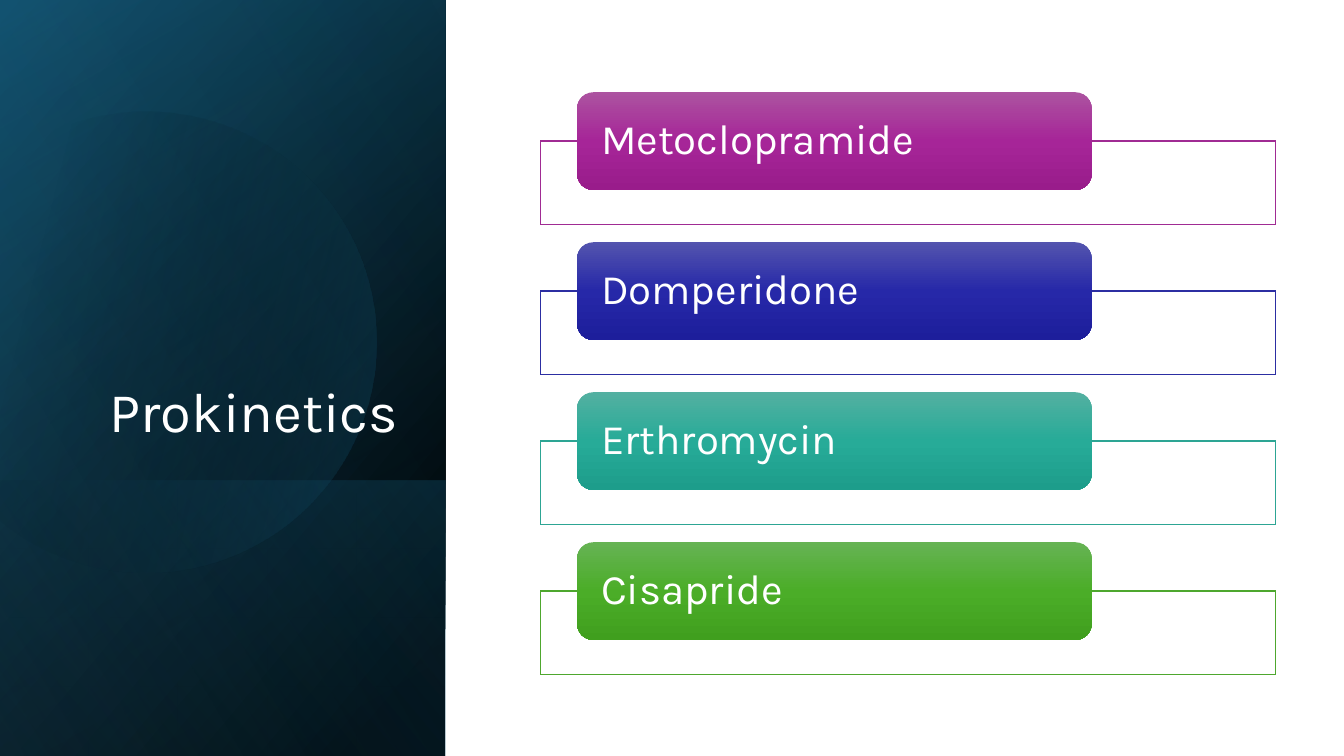
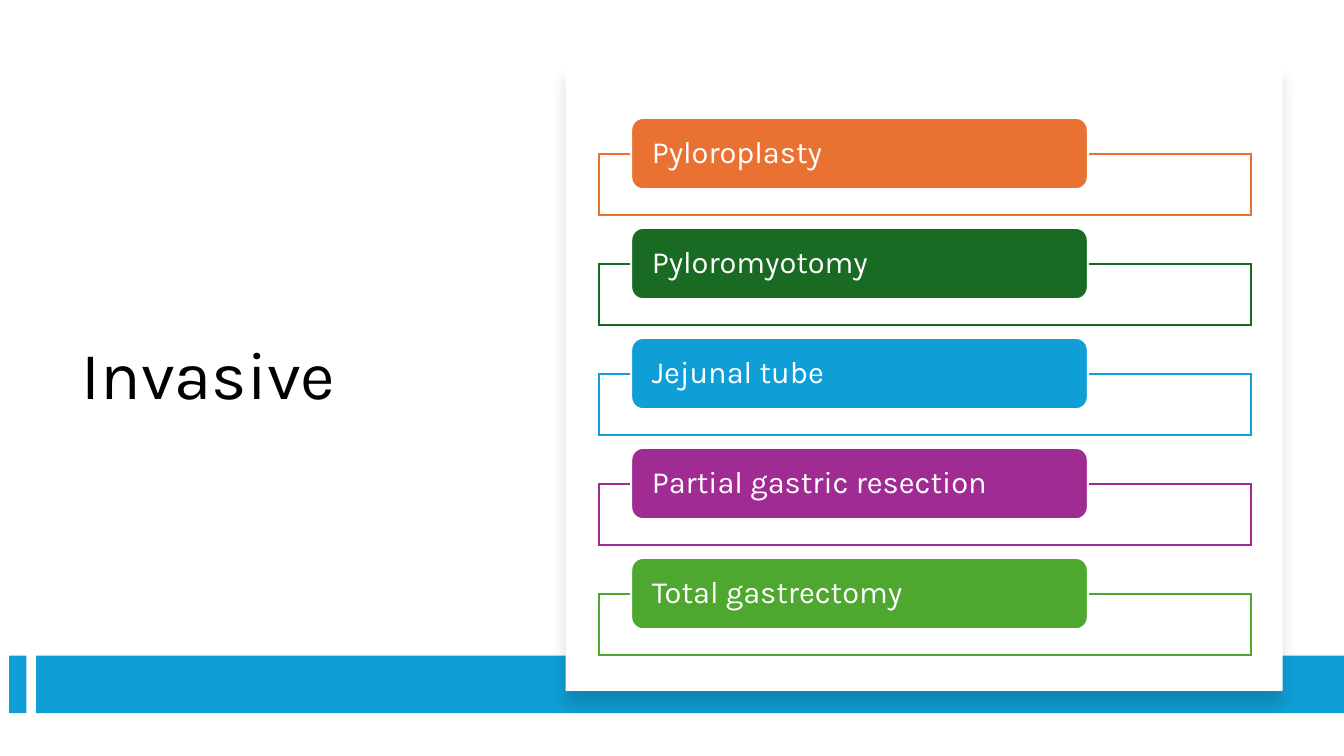
"""Build two slides that list treatments as stacked labels."""
from lxml.etree import SubElement
from pptx import Presentation
from pptx.dml.color import RGBColor
from pptx.enum.shapes import MSO_SHAPE
from pptx.enum.text import MSO_ANCHOR, MSO_AUTO_SIZE, PP_ALIGN
from pptx.oxml import parse_xml
from pptx.oxml.ns import nsdecls, qn
from pptx.util import Inches, Pt

WIDE, HIGH = 13.33, 7.5
FONT = "Karla"
HUES = {
    "white": "FFFFFF", "black": "000000", "navy": "104862",
    "teal": "156082", "sky": "46B1E1", "blue": "0F9ED5",
    "orange": "E97132", "forest": "196B24", "plum": "A02B93",
    "green": "4EA72E", "indigo": "2C2EA2", "sea": "2DA594",
    "plum top": "AC53A0", "plum mid": "A62598", "plum low": "991C8B",
    "indigo top": "5354AE", "indigo mid": "2628A8", "indigo low": "1D1E9B",
    "sea top": "53B0A1", "sea mid": "27AB98", "sea low": "1D9D8B",
    "green top": "66B354", "green mid": "4BAD28", "green low": "409F1E",
}
SIDE = (0, 0, 33.15, 100)
FOOT = (0, 63.52, 33.15, 36.48)


def across(share):
    return Inches(WIDE * share / 100)


def down(share):
    return Inches(HIGH * share / 100)


def place(box):
    x, y, w, h = box
    return across(x), down(y), across(w), down(h)


def tint(name):
    return RGBColor.from_string(HUES[name])


def blend(shape, stops, angle):
    marks = "".join(
        f'<a:gs pos="{pos * 1000}"><a:srgbClr val="{HUES[name]}">'
        f'<a:alpha val="{alpha * 1000}"/></a:srgbClr></a:gs>'
        for pos, name, alpha in stops)
    grad = parse_xml(
        f'<a:gradFill {nsdecls("a")} rotWithShape="1"><a:gsLst>{marks}</a:gsLst>'
        f'<a:lin ang="{angle * 60000}" scaled="0"/></a:gradFill>')
    shape.fill.background()
    props = shape._element.spPr
    props.replace(props.find(qn("a:noFill")), grad)


def edge(shape, name=None, width=1):
    shape.shadow.inherit = False
    if name:
        shape.line.color.rgb = tint(name)
        shape.line.width = Pt(width)
        line = shape._element.spPr.find(qn("a:ln"))
        SubElement(line, qn("a:miter")).set("lim", "800000")
    else:
        shape.line.fill.background()


def block(slide, box, fill="white", kind=MSO_SHAPE.RECTANGLE):
    shape = slide.shapes.add_shape(kind, *place(box))
    shape.fill.solid()
    shape.fill.fore_color.rgb = tint(fill)
    edge(shape)
    return shape


def layer(slide, box, stops, angle):
    shape = block(slide, box)
    x, y, w, h = place(box)
    shape.left, shape.top = x + (w - h) // 2, y + (h - w) // 2
    shape.width, shape.height = h, w
    shape.rotation = 90
    shape._element.spPr.find(qn("a:xfrm")).set("flipH", "1")
    blend(shape, stops, angle)


def disc(slide):
    x, y, w, h = place((-4.13, 14.13, 32.03, 60.93))
    path = slide.shapes.build_freeform(x, y)
    path.add_line_segments([(x + w, y), (x + w, y + h), (x, y + h)])
    shape = path.convert_to_shape()
    curve = shape._element.spPr.find(f'.//{qn("a:path")}')
    for part in list(curve):
        curve.remove(part)
    start = SubElement(SubElement(curve, qn("a:moveTo")), qn("a:pt"))
    start.set("x", str(int(w * 0.215)))
    start.set("y", str(int(h * 0.06)))
    arc = SubElement(curve, qn("a:arcTo"))
    for key, size in (("wR", h // 2), ("hR", h // 2),
                      ("stAng", -118 * 60000), ("swAng", 268 * 60000)):
        arc.set(key, str(size))
    SubElement(curve, qn("a:close"))
    shape.rotation = 343.9
    edge(shape)
    blend(shape, [(29, "black", 0), (100, "teal", 43)], 30)


def write(shape, text, size, color, anchor, align):
    frame = shape.text_frame
    frame.text = text
    frame.word_wrap = True
    frame.auto_size = MSO_AUTO_SIZE.NONE
    frame.vertical_anchor = anchor
    line = frame.paragraphs[0]
    line.alignment = align
    line.line_spacing = 0.9
    font = line.runs[0].font
    font.name, font.size = FONT, Pt(size)
    font.color.rgb = tint(color)


def head(slide, text, box, size, color, anchor, align):
    title = slide.shapes.title
    title.left, title.top, title.width, title.height = place(box)
    write(title, text, size, color, anchor, align)
    slide.shapes._spTree.append(title._element)


def label(slide, text, hue, box, tall, size, inset, width, glow):
    x, y, w, h = box
    edge(block(slide, (x, y + tall / 2, w, h)), hue, width)
    pill = block(slide, (x + w * 0.05, y, w * 0.7, tall), hue,
                 MSO_SHAPE.ROUNDED_RECTANGLE)
    if glow:
        blend(pill, [(0, f"{hue} top", 100), (50, f"{hue} mid", 100),
                     (100, f"{hue} low", 100)], 90)
    else:
        edge(pill, "white", width)
    write(pill, text, size, "white", MSO_ANCHOR.MIDDLE, PP_ALIGN.LEFT)
    frame = pill.text_frame
    frame.margin_left = frame.margin_right = Inches(inset)
    frame.margin_top = frame.margin_bottom = 0


def stack(slide, items, box, step, **style):
    x, y, w, h = box
    for row, (text, hue) in enumerate(items):
        label(slide, text, hue, (x, y + row * step, w, h), **style)


def card(slide):
    shape = block(slide, (42.09, 8.53, 53.34, 82.85))
    glow = shape._element.spPr.find(qn("a:effectLst"))
    glow.append(parse_xml(
        f'<a:outerShdw {nsdecls("a")} blurRad="{Pt(11)}" dist="{Pt(10)}" '
        f'dir="5400000" algn="t" rotWithShape="0">'
        f'<a:srgbClr val="{HUES["black"]}"><a:alpha val="15000"/></a:srgbClr>'
        '</a:outerShdw>'))


def drugs(slide):
    layer(slide, SIDE, [(8, "black", 100), (100, "navy", 100)], 50)
    layer(slide, SIDE, [(0, "black", 0), (99, "teal", 46)], 30)
    layer(slide, FOOT, [(2, "teal", 29), (100, "black", 30)], 130)
    disc(slide)
    layer(slide, SIDE, [(0, "black", 0), (99, "sky", 11)], 120)
    head(slide, "Prokinetics", (4.8, 24.53, 25.58, 34.93), 40, "white",
         MSO_ANCHOR.BOTTOM, PP_ALIGN.RIGHT)
    items = [("Metoclopramide", "plum"), ("Domperidone", "indigo"),
             ("Erthromycin", "sea"), ("Cisapride", "green")]
    stack(slide, items, (40.21, 12.2, 54.69, 11.07), 19.84,
          tall=12.93, size=30, inset=0.19, width=1, glow=True)


def surgery(slide):
    head(slide, "Invasive", (5.33, 16, 31.13, 68), 48, "black",
         MSO_ANCHOR.MIDDLE, PP_ALIGN.LEFT)
    for x, w in ((0.68, 1.28), (2.7, 97.3)):
        block(slide, (x, 86.74, w, 7.6), "blue")
    card(slide)
    items = [("Pyloroplasty", "orange"), ("Pyloromyotomy", "forest"),
             ("Jejunal tube", "blue"), ("Partial gastric resection", "plum"),
             ("Total gastrectomy", "green")]
    stack(slide, items, (44.54, 15.6, 48.54, 8.13), 14.55,
          tall=9.44, size=22, inset=0.17, width=1.5, glow=False)


def main():
    deck = Presentation()
    deck.slide_width, deck.slide_height = Inches(WIDE), Inches(HIGH)
    for build in (drugs, surgery):
        build(deck.slides.add_slide(deck.slide_layouts[5]))
    deck.save("out.pptx")


if __name__ == "__main__":
    main()
